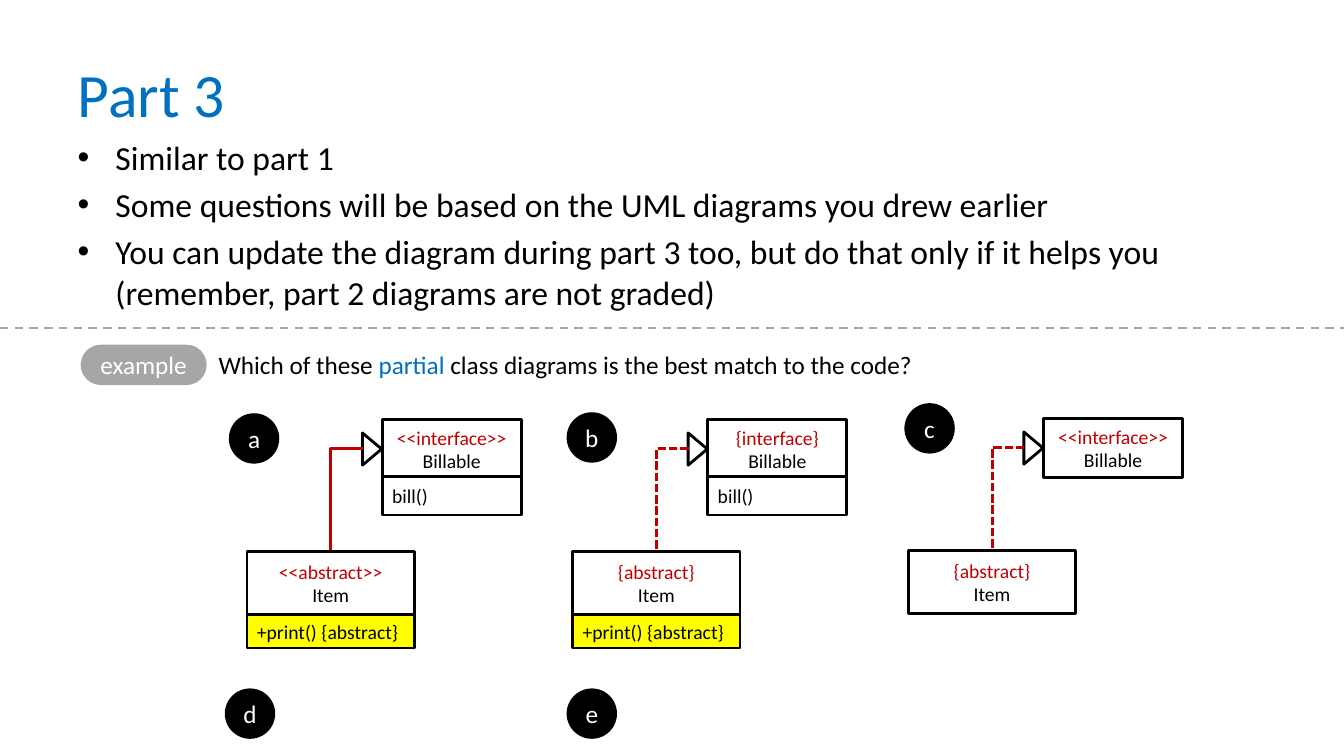
from pptx import Presentation
from pptx.dml.color import RGBColor
from pptx.enum.dml import MSO_LINE
from pptx.enum.shapes import MSO_CONNECTOR, MSO_SHAPE
from pptx.enum.text import MSO_ANCHOR, MSO_AUTO_SIZE, PP_ALIGN
from pptx.oxml.ns import qn
from pptx.util import Inches, Pt
from lxml import etree

RECT, TRIANGLE = MSO_SHAPE.RECTANGLE, MSO_SHAPE.ISOSCELES_TRIANGLE
CIRCLE, PILL = MSO_SHAPE.FLOWCHART_CONNECTOR, MSO_SHAPE.ROUNDED_RECTANGLE
STRAIGHT, ELBOW = MSO_CONNECTOR.STRAIGHT, MSO_CONNECTOR.ELBOW
DASH, SHORT_DASH = MSO_LINE.DASH, MSO_LINE.SQUARE_DOT
LEFT, CENTER = PP_ALIGN.LEFT, PP_ALIGN.CENTER
MIDDLE, NO_FIT = MSO_ANCHOR.MIDDLE, MSO_AUTO_SIZE.NONE
FONT = "Calibri"
BLACK, WHITE, RED, BLUE = "000000", "FFFFFF", "C00000", "0070C0"
YELLOW, GRAY = "FFFF00", "A6A6A6"


def rgb(value):
    return RGBColor.from_string(value)


def add_box(kind, x, y, w, h, fill, lines=(), size=14, align=CENTER, outlined=True):
    sp = s.shapes.add_shape(kind, Inches(x), Inches(y), Inches(w), Inches(h))
    sp.shadow.inherit = False
    sp.fill.solid()
    sp.fill.fore_color.rgb = rgb(fill)
    if outlined:
        sp.line.color.rgb = rgb(BLACK)
        sp.line.width = Pt(2)
    else:
        sp.line.fill.background()
    tf = sp.text_frame
    tf.vertical_anchor = MIDDLE
    tf.text = "\n".join(text for text, color in lines)
    for p, (text, color) in zip(tf.paragraphs, lines):
        p.alignment = align
        p.font.name, p.font.size = FONT, Pt(size)
        p.font.color.rgb = rgb(color)
    return sp


prs = Presentation()
prs.slide_width, prs.slide_height = Inches(13.33), Inches(7.5)
s = prs.slides.add_slide(prs.slide_layouts[1])

title, body = s.shapes.title, s.placeholders[1]
title.left, title.top, title.width, title.height = map(Inches, (0.67, 0.3, 12, 1.25))
title.text_frame.text = "Part 3"
title.text_frame.vertical_anchor = MIDDLE
p = title.text_frame.paragraphs[0]
p.alignment = LEFT
p.font.name, p.font.size = FONT, Pt(44)
p.font.color.rgb = rgb(BLUE)

body.left, body.top, body.width, body.height = map(Inches, (0.67, 1.31, 12, 1.77))
tf = body.text_frame
tf.auto_size = NO_FIT
tf.text = "\n".join([
    "Similar to part 1",
    "Some questions will be based on the UML diagrams you drew earlier",
    "You can update the diagram during part 3 too, but do that only if it helps you "
    "(remember, part 2 diagrams are not graded)",
])
for p in tf.paragraphs:
    p.font.name, p.font.size = FONT, Pt(24)
    p.font.color.rgb = rgb(BLACK)

diagrams = [
    (2.45, 4.16, "<<interface>>", "<<abstract>>", None, True),
    (5.68, 4.16, "{interface}", "{abstract}", SHORT_DASH, True),
    (9.01, 4.15, "<<interface>>", "{abstract}", SHORT_DASH, False),
]
for x, y, interface, abstract, dash, has_methods in diagrams:
    parent_x = x + 1.34
    add_box(RECT, parent_x, y, 1.38, 0.59, WHITE, [(interface, RED), ("Billable", BLACK)])
    head = add_box(TRIANGLE, x + 1.08, y + 0.2, 0.32, 0.19, WHITE)
    head.rotation = 90
    link = s.shapes.add_connector(ELBOW, Inches(x + 1.15), Inches(y + 0.29),
                                  Inches(x + 0.83), Inches(y + 1.31))
    link.line.color.rgb = rgb(RED)
    link.line.width = Pt(2)
    link.line.dash_style = dash
    sp_pr = link._element.spPr
    sp_pr.find(qn("a:prstGeom")).set("prst", "bentConnector2")
    etree.SubElement(sp_pr, qn("a:effectLst"))
    add_box(RECT, x, y + 1.31, 1.66, 0.63, WHITE, [(abstract, RED), ("Item", BLACK)])
    if has_methods:
        add_box(RECT, x, y + 1.94, 1.66, 0.33, YELLOW, [("+print() {abstract}", BLACK)], align=LEFT)
        add_box(RECT, parent_x, y + 0.57, 1.38, 0.38, WHITE, [("bill()", BLACK)], align=LEFT)

question = s.shapes.add_textbox(Inches(2.07), Inches(3.42), Inches(9.2), Inches(0.4))
question.text_frame.word_wrap = True
p = question.text_frame.paragraphs[0]
p.font.name, p.font.size = FONT, Pt(18)
for text, color in [("Which of these ", BLACK), ("partial", BLUE),
                    (" class diagrams is the best match to the code?", BLACK)]:
    r = p.add_run()
    r.text = text
    r.font.color.rgb = rgb(color)

for letter, x, y in [("a", 2.27, 4.1), ("b", 5.62, 4.09), ("c", 8.97, 4),
                     ("d", 2.23, 6.83), ("e", 5.62, 6.83)]:
    add_box(CIRCLE, x, y, 0.5, 0.5, BLACK, [(letter, WHITE)], 18, outlined=False)

divider = s.shapes.add_connector(STRAIGHT, 0, Inches(3.25), prs.slide_width, Inches(3.25))
divider.line.color.rgb = rgb(GRAY)
divider.line.width = Pt(1.5)
divider.line.dash_style = DASH
etree.SubElement(divider._element.spPr, qn("a:effectLst"))

pill = add_box(PILL, 0.8, 3.42, 1.25, 0.4, GRAY, [("example", WHITE)], 18, outlined=False)
pill.adjustments[0] = 0.5

prs.save("out.pptx")
